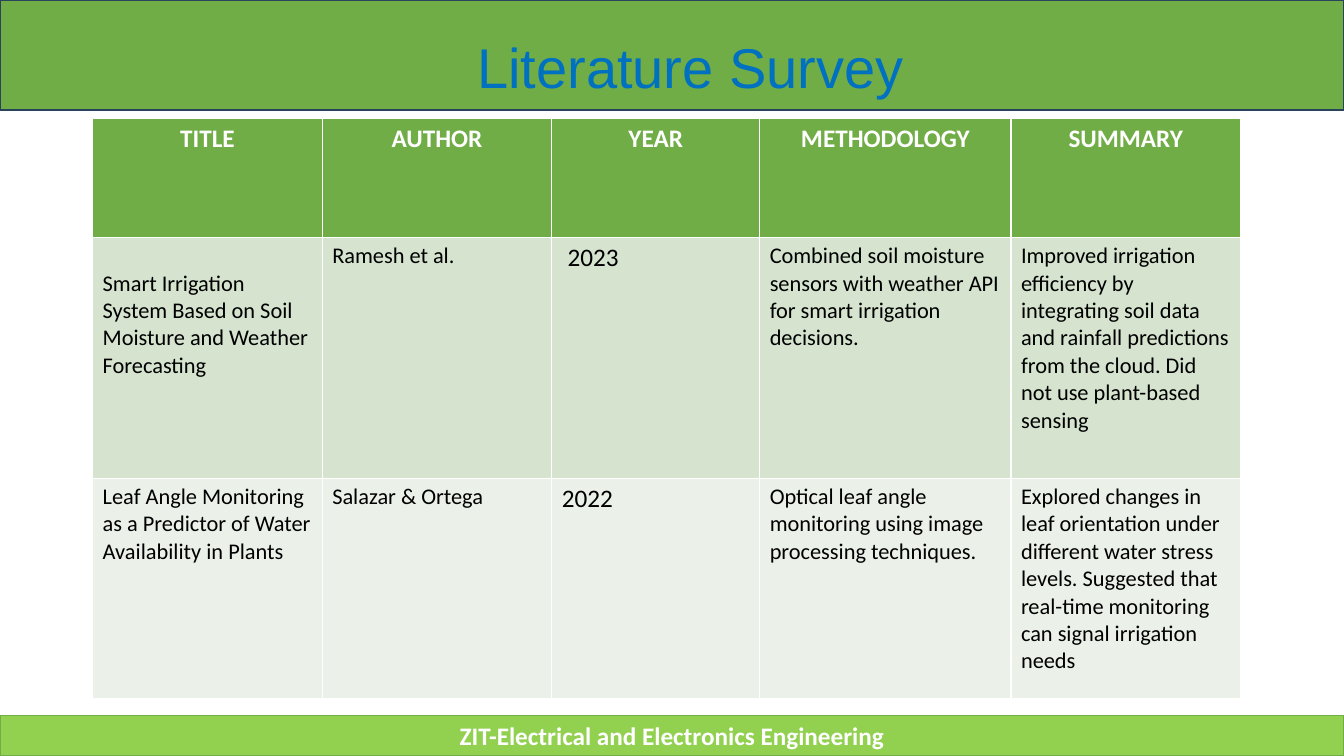
import dataclasses

import pptx
import pptx.dml.color
import pptx.enum.shapes
import pptx.enum.text
import pptx.util

Pt = pptx.util.Pt
Align = pptx.enum.text.PP_ALIGN
Anchor = pptx.enum.text.MSO_ANCHOR


@dataclasses.dataclass(frozen=True)
class Theme:
    green: str = "70AD47"
    lime: str = "92D050"
    edge: str = "28445D"
    blue: str = "0070C0"
    white: str = "FFFFFF"
    black: str = "000000"
    bands: tuple = ("D5E3CF", "EBF1E9")
    head_font: str = "Arial"
    body_font: str = "Calibri"
    title: int = 40
    label: int = 18
    body: int = 16


def tint(color):
    return pptx.dml.color.RGBColor.from_string(color)


class Maker:
    def __init__(self, slide, theme):
        self.slide = slide
        self.theme = theme

    def style(self, frame, size, color, font=None, bold=False, align=Align.LEFT):
        for para in frame.paragraphs:
            para.alignment = align
            for run in para.runs:
                run.font.name = font or self.theme.body_font
                run.font.size = Pt(size)
                run.font.bold = bold
                run.font.color.rgb = tint(color)

    def band(self, top, height, fill, line, weight, text=""):
        """Draw a bar across the whole slide."""
        bar = self.slide.shapes.add_shape(
            pptx.enum.shapes.MSO_SHAPE.RECTANGLE, 0, Pt(top), Pt(WIDTH), Pt(height))
        bar.shadow.inherit = False
        bar.fill.solid()
        bar.fill.fore_color.rgb = tint(fill)
        bar.line.color.rgb = tint(line)
        bar.line.width = Pt(weight)
        if text:
            frame = bar.text_frame
            frame.text = text
            frame.vertical_anchor = Anchor.MIDDLE
            self.style(frame, self.theme.label, self.theme.white,
                       bold=True, align=Align.CENTER)

    def title(self, text, left, top, width, height):
        box = self.slide.shapes.add_textbox(Pt(left), Pt(top), Pt(width), Pt(height))
        frame = box.text_frame
        frame.word_wrap = True
        frame.vertical_anchor = Anchor.MIDDLE
        frame.text = text
        self.style(frame, self.theme.title, self.theme.blue,
                   self.theme.head_font, align=Align.CENTER)

    def table(self, rows, left, top, widths, heights):
        theme = self.theme
        grid = self.slide.shapes.add_table(
            len(rows), len(widths), Pt(left), Pt(top),
            Pt(sum(widths)), Pt(sum(heights))).table
        for col, width in zip(grid.columns, widths):
            col.width = Pt(width)
        for row, height in zip(grid.rows, heights):
            row.height = Pt(height)
        for r, texts in enumerate(rows):
            for c, text in enumerate(texts):
                cell = grid.cell(r, c)
                cell.text = text
                cell.fill.solid()
                if r == 0:
                    cell.fill.fore_color.rgb = tint(theme.green)
                    self.style(cell.text_frame, theme.label, theme.white,
                               bold=True, align=Align.CENTER)
                else:
                    cell.fill.fore_color.rgb = tint(theme.bands[(r - 1) % 2])
                    size = theme.label if c == YEAR else theme.body
                    self.style(cell.text_frame, size, theme.black)
        return grid


WIDTH, HEIGHT = 960, 540
YEAR = 2
ROWS = [
    ["TITLE", "AUTHOR", "YEAR", "METHODOLOGY", "SUMMARY"],
    ["Smart Irrigation System Based on Soil Moisture and Weather Forecasting",
     "Ramesh et al.",
     "2023",
     "Combined soil moisture sensors with weather API for smart irrigation decisions.",
     "Improved irrigation efficiency by integrating soil data and rainfall "
     "predictions from the cloud. Did not use plant-based sensing"],
    ["Leaf Angle Monitoring as a Predictor of Water Availability in Plants",
     "Salazar & Ortega",
     "2022",
     "Optical leaf angle monitoring using image processing techniques.",
     "Explored changes in leaf orientation under different water stress levels. "
     "Suggested that real-time monitoring can signal irrigation needs"],
]


def main():
    deck = pptx.Presentation()
    deck.slide_width, deck.slide_height = Pt(WIDTH), Pt(HEIGHT)
    theme = Theme()
    make = Maker(deck.slides.add_slide(deck.slide_layouts[6]), theme)

    make.band(0, 78.5, theme.green, theme.edge, 1)
    make.title("Literature Survey", 126, 0, 734, 95)
    grid = make.table(ROWS, 66.2, 84.6, [164, 164, 148.5, 179.5, 164],
                      [85, 172, 157.5])
    grid.cell(1, 0).margin_top = Pt(23.1)
    grid.cell(1, YEAR).margin_left = Pt(11.3)
    make.band(511, 29, theme.lime, theme.green, 0.75,
              "ZIT-Electrical and Electronics Engineering")
    deck.save("out.pptx")


if __name__ == "__main__":
    main()
